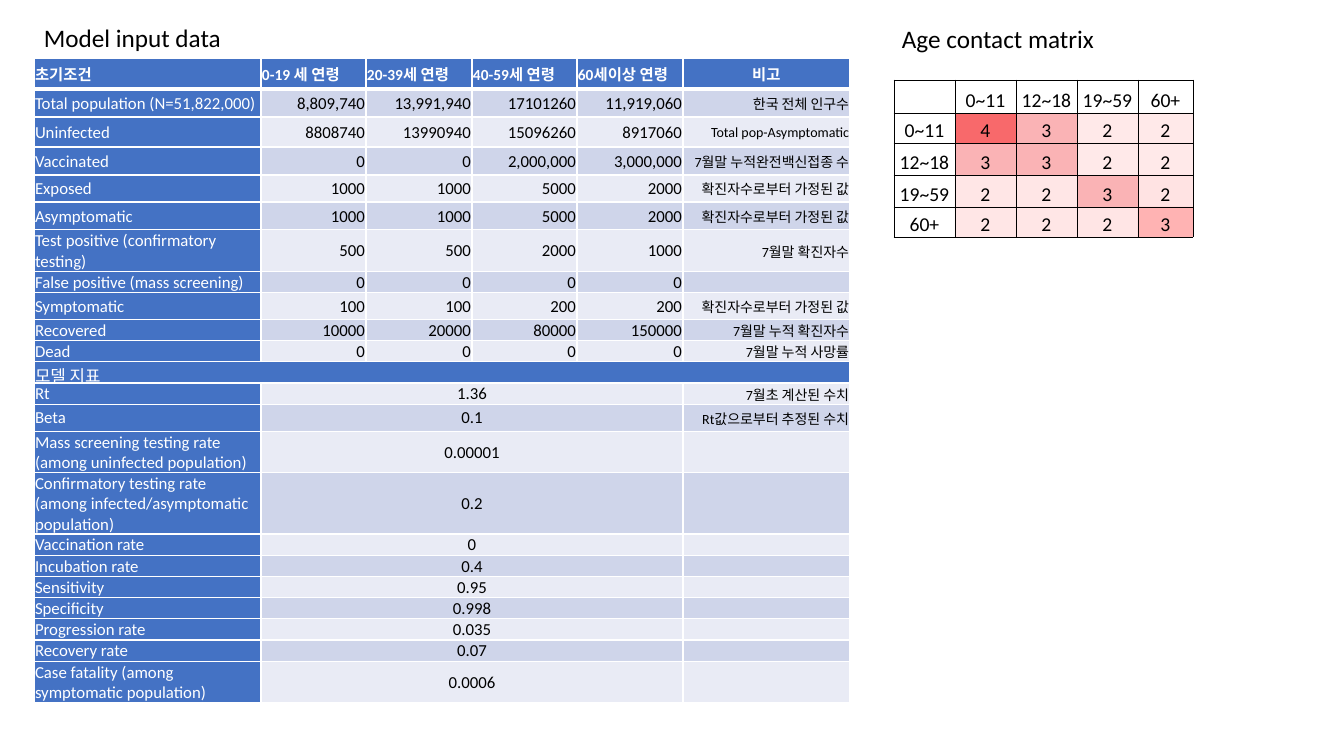
from lxml import etree
from pptx import Presentation
from pptx.dml.color import RGBColor
from pptx.enum.text import MSO_ANCHOR as Anchor, MSO_AUTO_SIZE as AutoSize, PP_ALIGN as Align
from pptx.oxml.ns import qn
from pptx.util import Pt

PX = 914400 / 100.8
FONT = "Calibri"
BLACK = RGBColor(0x00, 0x00, 0x00)
WHITE = RGBColor(0xFF, 0xFF, 0xFF)
BLUE = RGBColor(0x44, 0x72, 0xC4)
BANDS = RGBColor(0xE9, 0xEB, 0xF5), RGBColor(0xCF, 0xD5, 0xEA)
RED = RGBColor(0xF8, 0x69, 0x6B)
ROSE = RGBColor(0xFA, 0xB3, 0xB5)
SALMON = RGBColor(0xFF, 0x99, 0x99)
PINK = RGBColor(0xFF, 0xCC, 0xCC)

INPUT_COLUMNS = [227, 105, 106, 105, 106, 167]
HEADINGS = ["초기조건", "0-19 세 연령", "20-39세 연령", "40-59세 연령", "60세이상 연령", "비고"]
ASSUMED = "확진자수로부터 가정된 값"
# Row height, label, values by age group, remark
INITIAL_CONDITIONS = [
    (28, "Total population (N=51,822,000)",
     ["8,809,740", "13,991,940", "17101260", "11,919,060"], "한국 전체 인구수"),
    (30, "Uninfected", ["8808740", "13990940", "15096260", "8917060"], "Total pop-Asymptomatic"),
    (28, "Vaccinated", ["0", "0", "2,000,000", "3,000,000"], "7월말 누적완전백신접종 수"),
    (27, "Exposed", ["1000", "1000", "5000", "2000"], ASSUMED),
    (28, "Asymptomatic", ["1000", "1000", "5000", "2000"], ASSUMED),
    (40, "Test positive (confirmatory testing)", ["500", "500", "2000", "1000"], "7월말 확진자수"),
    (20, "False positive (mass screening)", ["0", "0", "0", "0"], ""),
    (27, "Symptomatic", ["100", "100", "200", "200"], ASSUMED),
    (20, "Recovered", ["10000", "20000", "80000", "150000"], "7월말 누적 확진자수"),
    (20, "Dead", ["0", "0", "0", "0"], "7월말 누적 사망률"),
]
# Row height, label, value, remark
INDICATORS = [
    (20, "Rt", "1.36", "7월초 계산된 수치"),
    (27, "Beta", "0.1", "Rt값으로부터 추정된 수치"),
    (40, "Mass screening testing rate (among uninfected population)", "0.00001", ""),
    (61, "Confirmatory testing rate (among infected/asymptomatic population)", "0.2", ""),
    (20, "Vaccination rate", "0", ""),
    (20, "Incubation rate", "0.4", ""),
    (20, "Sensitivity", "0.95", ""),
    (20, "Specificity", "0.998", ""),
    (20, "Progression rate", "0.035", ""),
    (20, "Recovery rate", "0.07", ""),
    (40, "Case fatality (among symptomatic population)", "0.0006", ""),
]

AGES = ["0~11", "12~18", "19~59", "60+"]
# Contact level, fill colour, opacity in percent
CONTACTS = [
    [("4", RED, 100), ("3", ROSE, 100), ("2", PINK, 42), ("2", PINK, 42)],
    [("3", ROSE, 100), ("3", ROSE, 100), ("2", PINK, 42), ("2", PINK, 42)],
    [("2", PINK, 48), ("2", PINK, 48), ("3", ROSE, 100), ("2", PINK, 55)],
    [("2", PINK, 48), ("2", PINK, 48), ("2", PINK, 50), ("3", SALMON, 74)],
]


def px(length):
    return round(length * PX)


def style_font(font, size, color, bold=False):
    font.name = FONT
    font.size = Pt(size)
    font.color.rgb = color
    font.bold = bold


def add_title(slide, text, left, top, width):
    box = slide.shapes.add_textbox(px(left), px(top), px(width), px(40))
    frame = box.text_frame
    frame.word_wrap = True
    frame.auto_size = AutoSize.SHAPE_TO_FIT_TEXT
    frame.text = text
    style_font(frame.paragraphs[0].font, 18, BLACK)


def add_grid(slide, left, top, widths, heights):
    """Add an empty table without the banded style."""
    frame = slide.shapes.add_table(len(heights), len(widths), px(left), px(top),
                                   px(sum(widths)), px(sum(heights)))
    table = frame.table
    table.first_row = table.horz_banding = False
    for column, width in zip(table.columns, widths):
        column.width = px(width)
    for row, height in zip(table.rows, heights):
        row.height = px(height)
    return table


def set_borders(cell, color, width, bottom=None):
    properties = cell._tc.get_or_add_tcPr()
    for index, side in enumerate(("lnL", "lnR", "lnT", "lnB")):
        points = bottom if bottom and side == "lnB" else width
        line = etree.Element(qn(f"a:{side}"), w=str(Pt(points)))
        fill = etree.SubElement(line, qn("a:solidFill"))
        etree.SubElement(fill, qn("a:srgbClr"), val=str(color))
        properties.insert(index, line)


def fill_cell(cell, color, opacity=100):
    if color is None:
        cell.fill.background()
        return
    cell.fill.solid()
    cell.fill.fore_color.rgb = color
    if opacity < 100:
        tint = cell._tc.tcPr.find(f".//{qn('a:srgbClr')}")
        etree.SubElement(tint, qn("a:alpha"), val=str(opacity * 1000))


def write_cell(cell, text, size, color=BLACK, align=Align.LEFT, anchor=Anchor.MIDDLE, bold=False):
    cell.margin_left = cell.margin_right = cell.margin_top = px(1)
    cell.margin_bottom = 0
    cell.vertical_anchor = anchor
    cell.text = text
    paragraph = cell.text_frame.paragraphs[0]
    paragraph.alignment = align
    style_font(paragraph.font, size, color, bold)


def add_input_table(slide):
    heights = [31, *(row[0] for row in INITIAL_CONDITIONS), 20, *(row[0] for row in INDICATORS)]
    table = add_grid(slide, 34, 58, INPUT_COLUMNS, heights)
    section = len(INITIAL_CONDITIONS) + 1
    last = len(INPUT_COLUMNS) - 1

    for column, heading in enumerate(HEADINGS):
        align = Align.CENTER if column == last else Align.LEFT
        write_cell(table.cell(0, column), heading, 11, WHITE, align, bold=True)

    rows = [(label, values, remark, Align.RIGHT) for _, label, values, remark in INITIAL_CONDITIONS]
    rows.append(("모델 지표", [""] * 4, "", Align.LEFT))
    rows += [(label, [value, "", "", ""], remark, Align.CENTER)
             for _, label, value, remark in INDICATORS]
    for row, (label, values, remark, align) in enumerate(rows, 1):
        write_cell(table.cell(row, 0), label, 12, WHITE)
        for column, value in enumerate(values, 1):
            write_cell(table.cell(row, column), value, 12, align=align)
        write_cell(table.cell(row, last), remark, 10, align=Align.RIGHT)

    for row in range(len(heights)):
        for column in range(len(INPUT_COLUMNS)):
            cell = table.cell(row, column)
            is_blue = column == 0 or row in (0, section)
            fill_cell(cell, BLUE if is_blue else BANDS[row % 2])
            set_borders(cell, WHITE, 1, bottom=3 if row == 0 else None)
        if row == section:
            table.cell(row, 0).merge(table.cell(row, last))
        elif row > section:
            table.cell(row, 1).merge(table.cell(row, last - 1))


def add_contact_matrix(slide):
    table = add_grid(slide, 894, 80, [61, 61, 61, 61, 55], [33, 30, 32, 32, 30])
    rows = [[(age, None, 100) for age in ["", *AGES]]]
    rows += [[(age, None, 100), *levels] for age, levels in zip(AGES, CONTACTS)]
    for row, entries in enumerate(rows):
        for column, (text, color, opacity) in enumerate(entries):
            cell = table.cell(row, column)
            write_cell(cell, text, 14, align=Align.CENTER, anchor=Anchor.BOTTOM)
            fill_cell(cell, color, opacity)
            set_borders(cell, BLACK, 0.5)


def main():
    presentation = Presentation()
    presentation.slide_width = px(1344)
    presentation.slide_height = px(756)
    slide = presentation.slides.add_slide(presentation.slide_layouts[6])
    add_title(slide, "Model input data", 34, 17, 398)
    add_contact_matrix(slide)
    add_title(slide, "Age contact matrix", 892, 18, 278)
    add_input_table(slide)
    presentation.save("out.pptx")


if __name__ == "__main__":
    main()
